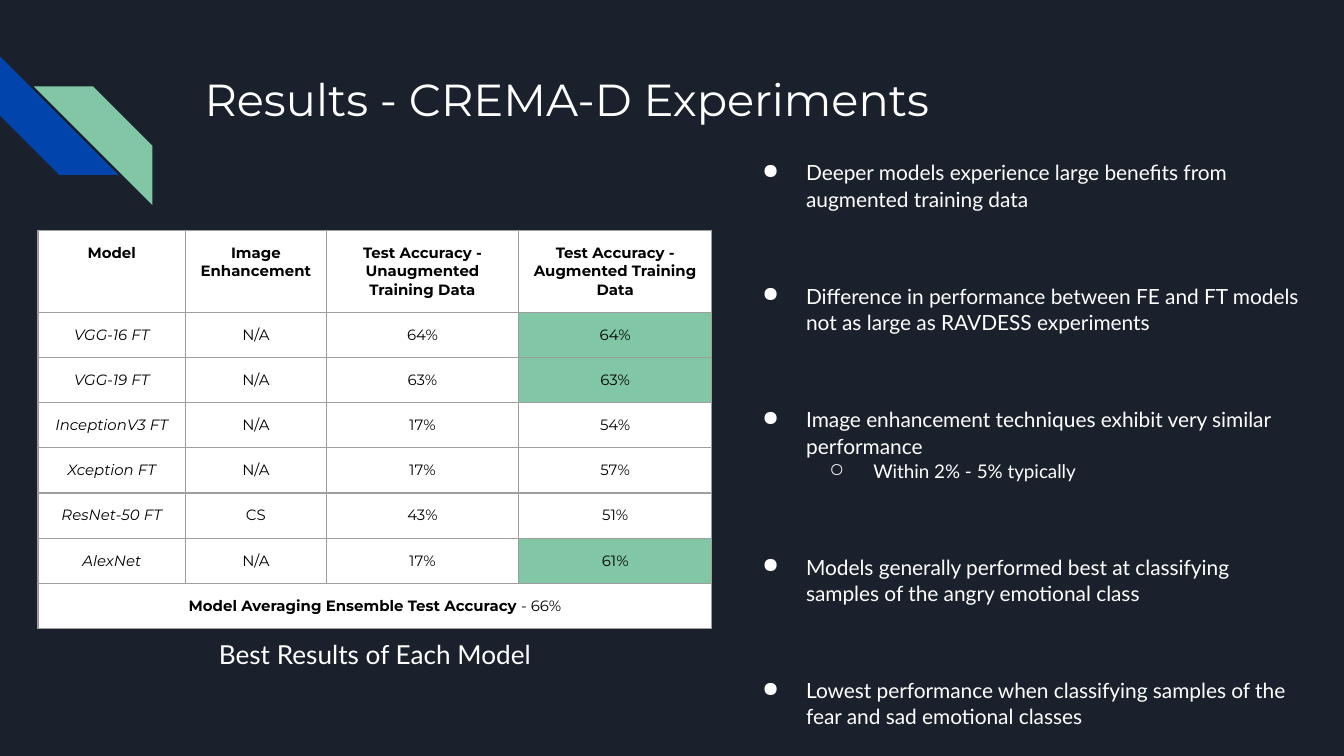
from lxml.etree import SubElement
from pptx import Presentation
from pptx.dml.color import RGBColor
from pptx.enum.shapes import MSO_SHAPE as Shape
from pptx.enum.text import MSO_ANCHOR as Anchor, PP_ALIGN as Align
from pptx.oxml.ns import qn
from pptx.util import Pt

NAVY = RGBColor(0x1B, 0x21, 0x2C)
BLUE = RGBColor(0x01, 0x45, 0xAC)
GREEN = RGBColor(0x82, 0xC7, 0xA5)
GREY = RGBColor(0x9E, 0x9E, 0x9E)
WHITE = RGBColor(0xFF, 0xFF, 0xFF)
BLACK = RGBColor(0, 0, 0)

HEADINGS = ["Model", "Image Enhancement", "Test Accuracy - Unaugmented Training Data",
            "Test Accuracy - Augmented Training Data"]
RESULTS = [
    ("VGG-16 FT", "N/A", "64%", "64%"),
    ("VGG-19 FT", "N/A", "63%", "63%"),
    ("InceptionV3 FT", "N/A", "17%", "54%"),
    ("Xception FT", "N/A", "17%", "57%"),
    ("ResNet-50 FT", "CS", "43%", "51%"),
    ("AlexNet", "N/A", "17%", "61%"),
]
BEST_MODELS = {"VGG-16 FT", "VGG-19 FT", "AlexNet"}
FINDINGS = [
    (0, "Deeper models experience large benefits from augmented training data"),
    (0, "Difference in performance between FE and FT models not as large as RAVDESS experiments"),
    (0, "Image enhancement techniques exhibit very similar performance"),
    (1, "Within 2% - 5% typically"),
    (0, "Models generally performed best at classifying samples of the angry emotional class"),
    (0, "Lowest performance when classifying samples of the fear and sad emotional classes"),
]


def set_font(font, name, size, color):
    """Give a font its typeface, size and colour."""
    font.name, font.size = name, Pt(size)
    font.color.rgb = color


def add_text_frame(slide, box):
    """Add a wrapping text box with even margins and return its frame."""
    frame = slide.shapes.add_textbox(*map(Pt, box)).text_frame
    frame.word_wrap = True
    frame.vertical_anchor = Anchor.TOP
    frame.margin_left = frame.margin_right = Pt(7.2)
    frame.margin_top = frame.margin_bottom = Pt(7.2)
    return frame


def add_line(slide, box, text, font_name, size, align):
    """Place a single line of white text in the box."""
    line = add_text_frame(slide, box).paragraphs[0]
    line.text, line.alignment = text, align
    set_font(line.font, font_name, size, WHITE)


def add_stripes(slide, box):
    """Draw the blue and green corner stripes, the green one at lower right."""
    left, top, width, height = box
    side = 63.5
    corners = [(left, top, 270, BLUE),
               (left + width - side, top + height - side, 90, GREEN)]
    for x, y, angle, color in corners:
        stripe = slide.shapes.add_shape(Shape.DIAGONAL_STRIPE, Pt(x), Pt(y), Pt(side), Pt(side))
        stripe.rotation = angle
        stripe.shadow.inherit = False
        stripe.fill.solid()
        stripe.fill.fore_color.rgb = color
        stripe.line.fill.background()


def add_bullet(paragraph, level):
    """Give a paragraph a white bullet and hanging indent for its level."""
    props = paragraph._p.get_or_add_pPr()
    props.set("marL", str(Pt(36 * (level + 1))))
    props.set("indent", str(-Pt(23.5)))
    SubElement(SubElement(props, qn("a:buClr")), qn("a:srgbClr"), val=str(WHITE))
    SubElement(props, qn("a:buChar"), char="●○"[level])


def add_findings(slide, box):
    """List the findings with wide gaps between main points."""
    frame = add_text_frame(slide, box)
    for index, (level, text) in enumerate(FINDINGS):
        finding = frame.add_paragraph() if index else frame.paragraphs[0]
        finding.text, finding.level = text, level
        finding.line_spacing = 1.05
        finding.space_before = Pt(38 if index and level == 0 else 0)
        add_bullet(finding, level)
        set_font(finding.font, "Lato", (11.2, 10.1)[level], WHITE)


def style_cell(cell, fill):
    """Fill a cell, draw its borders and centre its text."""
    cell.margin_left = cell.margin_right = Pt(7.2)
    cell.margin_top = cell.margin_bottom = Pt(7.2)
    props = cell._tc.get_or_add_tcPr()
    for side in ("lnL", "lnR", "lnT", "lnB"):
        border = SubElement(props, qn(f"a:{side}"), w=str(Pt(0.75)))
        SubElement(SubElement(border, qn("a:solidFill")), qn("a:srgbClr"), val=str(GREY))
    cell.fill.solid()
    cell.fill.fore_color.rgb = fill
    paragraph = cell.text_frame.paragraphs[0]
    paragraph.alignment = Align.CENTER
    set_font(paragraph.font, "Montserrat", 8, BLACK)
    return paragraph


def add_results(slide, box):
    """Build the accuracy table with a merged ensemble row at the bottom."""
    rows = [HEADINGS, *RESULTS]
    header_height = 44
    table = slide.shapes.add_table(len(rows) + 1, len(HEADINGS), *map(Pt, box)).table
    table.first_row = table.horz_banding = False
    for column, width in zip(table.columns, (79, 75.5, 103, 103.5)):
        column.width = Pt(width)
    for index, row in enumerate(table.rows):
        row.height = Pt(header_height if index == 0 else (box[3] - header_height) / len(rows))

    for r, values in enumerate(rows):
        for c, value in enumerate(values):
            best = c == 3 and values[0] in BEST_MODELS
            entry = style_cell(table.cell(r, c), GREEN if best else WHITE)
            entry.text = value
            entry.font.bold = r == 0
            entry.font.italic = r > 0 and c == 0

    last = len(rows)
    table.cell(last, 0).merge(table.cell(last, len(HEADINGS) - 1))
    ensemble = [style_cell(table.cell(last, c), WHITE) for c in range(len(HEADINGS))][0]
    for text, bold in (("Model Averaging Ensemble Test Accuracy", True), (" - 66%", False)):
        run = ensemble.add_run()
        run.text, run.font.bold = text, bold


def main():
    """Build and save the slide."""
    deck = Presentation()
    deck.slide_width, deck.slide_height = Pt(720), Pt(405)
    slide = deck.slides.add_slide(deck.slide_layouts[6])
    slide.background.fill.solid()
    slide.background.fill.fore_color.rgb = NAVY
    add_stripes(slide, (0, 30.2, 81.6, 79.6))
    add_line(slide, (102.5, 31, 554, 72), "Results - CREMA-D Experiments",
             "Montserrat", 24, Align.LEFT)
    add_findings(slide, (388.8, 77.8, 316.8, 309.6))
    add_results(slide, (20.4, 123.4, 361, 213.4))
    add_line(slide, (20.4, 334.8, 361, 31.7), "Best Results of Each Model",
             "Lato", 14, Align.CENTER)
    deck.save("out.pptx")


if __name__ == "__main__":
    main()
